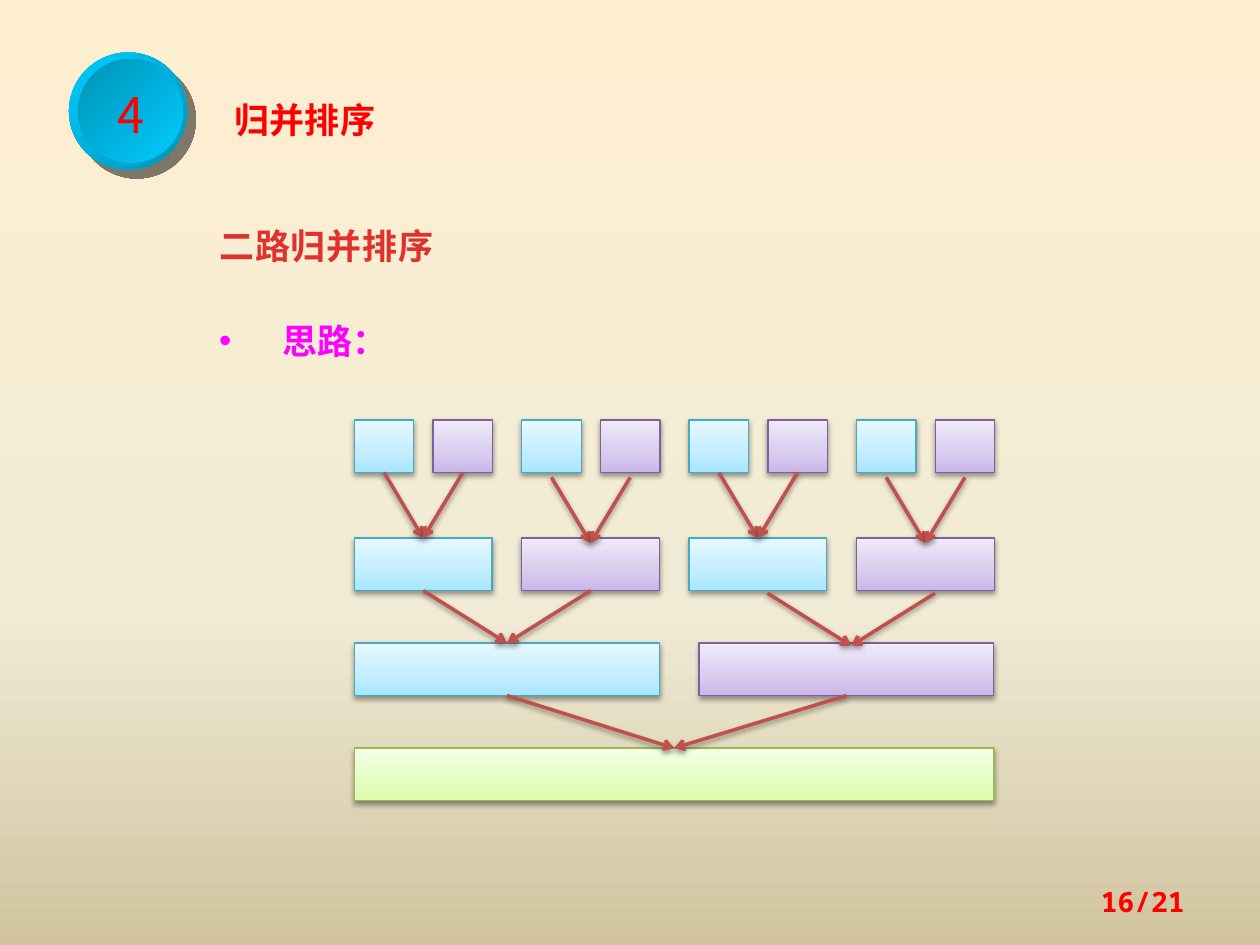
from lxml import etree
from pptx import Presentation
from pptx import util as u
from pptx.dml.color import RGBColor
from pptx.enum import shapes, text
from pptx.oxml.ns import qn

Pt = u.Pt
RED = RGBColor(0xFF, 0x00, 0x00)
MAGENTA = RGBColor(0xFF, 0x00, 0xFF)
BRICK = RGBColor(0xC0, 0x50, 0x4D)
BLACK = RGBColor(0x00, 0x00, 0x00)
BLUE_EDGE = RGBColor(0x46, 0xAA, 0xC5)
PURPLE_EDGE = RGBColor(0x7D, 0x60, 0xA0)
GREEN_EDGE = RGBColor(0x98, 0xB9, 0x55)
SKY = RGBColor(0x00, 0xCC, 0xFF)
TEAL = RGBColor(0x00, 0x92, 0xB6)


def stops(positions, *codes):
    return [(pos, RGBColor.from_string(c)) for pos, c in zip(positions, codes)]


BOX_STEPS = (0, 35, 100)
BLUE = (stops(BOX_STEPS, "A7E6FF", "C1EDFF", "E7F8FF"), BLUE_EDGE)
PURPLE = (stops(BOX_STEPS, "C9B5E8", "D8CBEE", "F0EAF9"), PURPLE_EDGE)
GREEN = (stops(BOX_STEPS, "DAFDA7", "E4FCC2", "F5FFE7"), GREEN_EDGE)
BACKDROP = stops((0, 65, 100), "FFEFD1", "F0EBD5", "D1C39F")
HEADING = stops((25, 100), "E0322D", "A2201C")


class MergeSlide:
    cjk = "Noto Sans CJK SC"
    mono = "Noto Sans Mono"
    soft = (BLACK, 38, 3.1, 1.6, 90)

    def __init__(self, prs, layout):
        self.slide = prs.slides.add_slide(prs.slide_layouts[layout])
        self.shapes = self.slide.shapes

    def apply(self, obj, values):
        for name, value in values.items():
            setattr(obj, name, value)

    def child(self, parent, tag, **attrs):
        return etree.SubElement(parent, qn(tag), attrs)

    def gradient(self, fill, owner, steps, angle):
        fill.gradient()
        grad = owner.find(qn("a:gradFill"))
        for el in list(grad):
            grad.remove(el)
        gs_list = self.child(grad, "a:gsLst")
        for pos, color in steps:
            gs = self.child(gs_list, "a:gs", pos=str(pos * 1000))
            self.child(gs, "a:srgbClr", val=str(color))
        self.child(grad, "a:lin", ang=str(angle * 60000), scaled="0")

    def backdrop(self, steps):
        fill = self.slide.background.fill
        owner = self.slide.element.find(".//" + qn("p:bgPr"))
        self.gradient(fill, owner, steps, 90)

    def shadow(self, sp, color, alpha, blur, dist, angle):
        effects = self.child(sp.element.spPr, "a:effectLst")
        outer = self.child(effects, "a:outerShdw", blurRad=str(Pt(blur)), dist=str(Pt(dist)),
                           dir=str(angle * 60000), algn="ctr", rotWithShape="0")
        clr = self.child(outer, "a:srgbClr", val=str(color))
        self.child(clr, "a:alpha", val=str(alpha * 1000))

    def shape(self, kind, x, y, w, h, steps, angle, edge=None, shadow=None):
        sp = self.shapes.add_shape(kind, Pt(x), Pt(y), Pt(w), Pt(h))
        self.gradient(sp.fill, sp.element.spPr, steps, angle)
        if edge is None:
            sp.line.fill.background()
        else:
            sp.line.color.rgb = edge
            sp.line.width = Pt(0.75)
        if shadow:
            self.shadow(sp, *shadow)
        else:
            sp.shadow.inherit = False
        return sp

    def box(self, x, y, w, h, style):
        steps, edge = style
        self.shape(shapes.MSO_SHAPE.RECTANGLE, x, y, w, h, steps, 270, edge, self.soft)

    def arrow(self, x1, y1, x2, y2):
        cxn = self.shapes.add_connector(shapes.MSO_CONNECTOR.STRAIGHT,
                                        Pt(x1), Pt(y1), Pt(x2), Pt(y2))
        cxn.line.color.rgb = BRICK
        cxn.line.width = Pt(2)
        self.child(cxn.element.spPr.find(qn("a:ln")), "a:tailEnd", type="arrow")
        self.shadow(cxn, *self.soft)

    def put_text(self, sp, words, size, color, font=None, bold=True, frame=None, para=None):
        tf = sp.text_frame
        self.apply(tf, {"word_wrap": True, "auto_size": text.MSO_AUTO_SIZE.NONE,
                        "vertical_anchor": text.MSO_ANCHOR.TOP,
                        "margin_left": Pt(7.2), "margin_right": Pt(7.2),
                        "margin_top": Pt(3.6), "margin_bottom": Pt(3.6), **(frame or {})})
        p = tf.paragraphs[0]
        self.apply(p, {"alignment": text.PP_ALIGN.LEFT, "space_before": Pt(0), **(para or {})})
        r = p.add_run()
        r.text = words
        self.apply(r.font, {"size": Pt(size), "bold": bold, "name": font or self.cjk})
        rpr = r.font._element
        self.child(rpr, "a:ea", typeface=font or self.cjk)
        if isinstance(color, RGBColor):
            r.font.color.rgb = color
        else:
            self.gradient(r.font.fill, rpr, color, 90)
        return p

    def placeholder(self, idx, x, y, w, h):
        sp = self.slide.placeholders[idx]
        self.apply(sp, {"left": Pt(x), "top": Pt(y), "width": Pt(w), "height": Pt(h)})
        return sp

    def title(self, words, x, y, w, h):
        self.put_text(self.placeholder(0, x, y, w, h), words, 20, RED,
                      frame={"margin_left": Pt(16.2)}, para={"line_spacing": 1.1})

    def item(self, idx, words, color, x, y, w, h, bullet=None, spacing=None):
        p = self.put_text(self.placeholder(idx, x, y, w, h), words, 20, color,
                          para={"line_spacing": 1.5})
        ppr = p._p.get_or_add_pPr()
        ppr.set("marL", str(Pt(36)))
        ppr.set("indent", str(Pt(-36)))
        if bullet:
            self.child(ppr, "a:buFont", typeface="Arial")
            self.child(ppr, "a:buChar", char=bullet)
        else:
            self.child(ppr, "a:buNone")
        if spacing:
            p.runs[0].font._element.set("spc", str(spacing))

    def badge(self, words):
        oval = shapes.MSO_SHAPE.OVAL
        self.shape(oval, 39.4, 30, 67.5, 67, [(0, SKY), (100, TEAL)], 45,
                   shadow=(RGBColor(2, 2, 2), 50, 0, 7.1, 45))
        sp = self.shape(oval, 44.8, 33.8, 59.8, 59.3, [(0, TEAL), (100, SKY)], 45)
        self.put_text(sp, words, 28, RED, bold=False,
                      frame={"word_wrap": False, "vertical_anchor": text.MSO_ANCHOR.MIDDLE},
                      para={"alignment": text.PP_ALIGN.CENTER, "line_spacing": 1.1})

    def page_number(self, words, x, y, w, h):
        sp = self.shapes.add_textbox(Pt(x), Pt(y), Pt(w), Pt(h))
        self.put_text(sp, words, 16, RED, font=self.mono,
                      frame={"vertical_anchor": text.MSO_ANCHOR.MIDDLE},
                      para={"alignment": text.PP_ALIGN.RIGHT})


prs = Presentation()
prs.slide_width, prs.slide_height = Pt(720), Pt(540)
s = MergeSlide(prs, 3)
s.backdrop(BACKDROP)
s.badge("4")
s.title("归并排序", 118, 50.4, 124, 34)
s.item(1, "二路归并排序", HEADING, 118, 112.5, 174, 39.5, spacing=50)
s.item(2, "思路：", MAGENTA, 118, 167, 135, 39.5, bullet="•")

LEFT, PITCH, BOX_H = 202.5, 95.65, 30
leaves = [(LEFT + PITCH * i + 45 * j, 34) for i in range(4) for j in range(2)]
pairs = [(LEFT + PITCH * i, 78.7) for i in range(4)]
halves = [(LEFT, 174.4), (399.5, 168.3)]
whole = [(LEFT, 365.5)]
levels = [(240, leaves, 0, 0), (307.5, pairs, 0, 2.8), (367.5, halves, 5.5, 1.5),
          (427.5, whole, 0, 0)]

for i, (x, w) in enumerate(leaves):
    s.box(x, 240, w, BOX_H, (BLUE, PURPLE)[i % 2])
for (child_y, children, _, _), (y, parents, dx, dy) in zip(levels, levels[1:]):
    for i, (x, w) in enumerate(parents):
        s.box(x, y, w, BOX_H, GREEN if parents is whole else (BLUE, PURPLE)[i % 2])
        shift, drop = dx * (i % 2), dy * (i % 2)
        for cx, cw in children[2 * i:2 * i + 2]:
            s.arrow(cx + cw / 2 + shift, child_y + BOX_H + drop, x + w / 2 + shift / 2, y + drop)

s.page_number("16/21", 516, 500.4, 168, 28.8)
prs.save("out.pptx")
